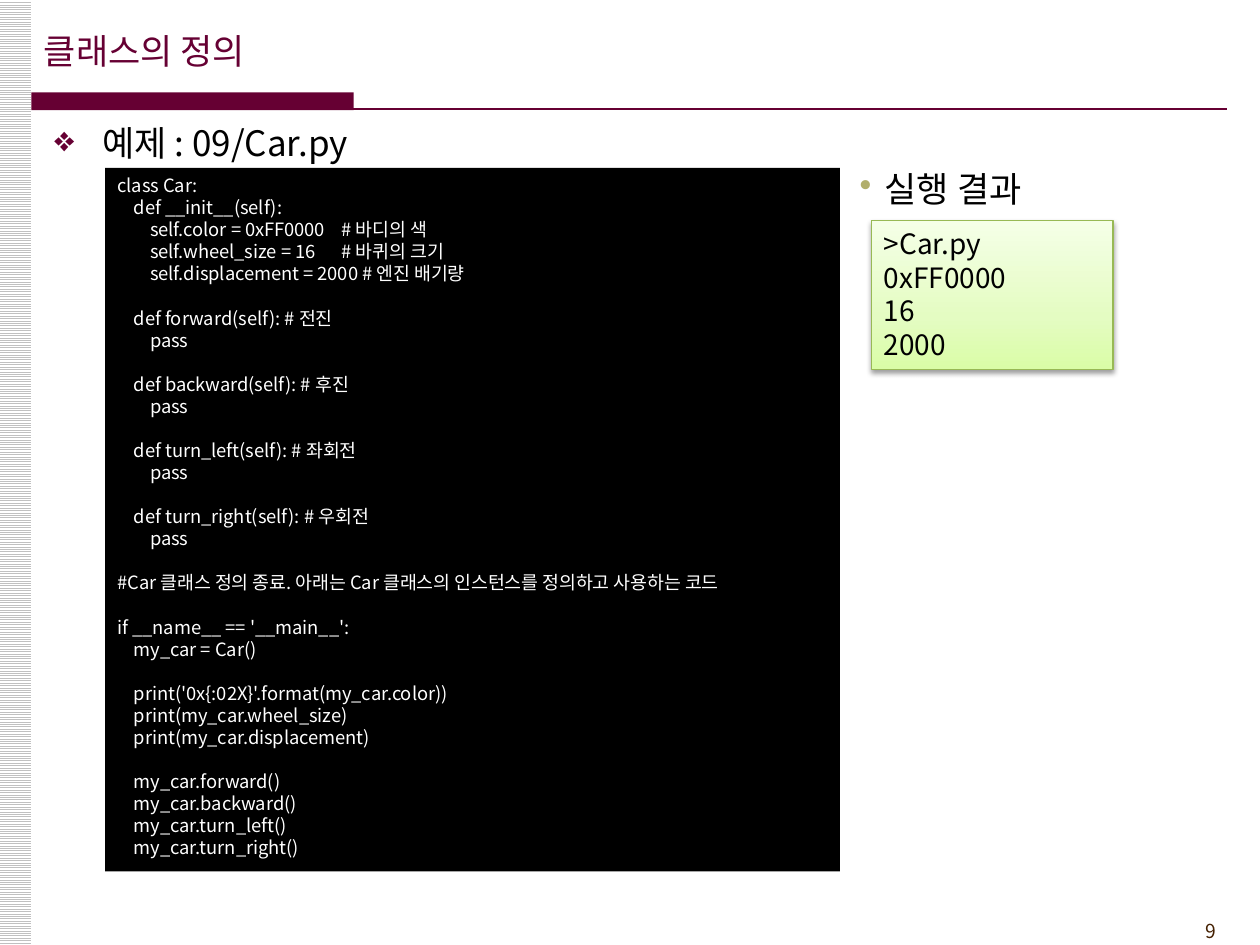
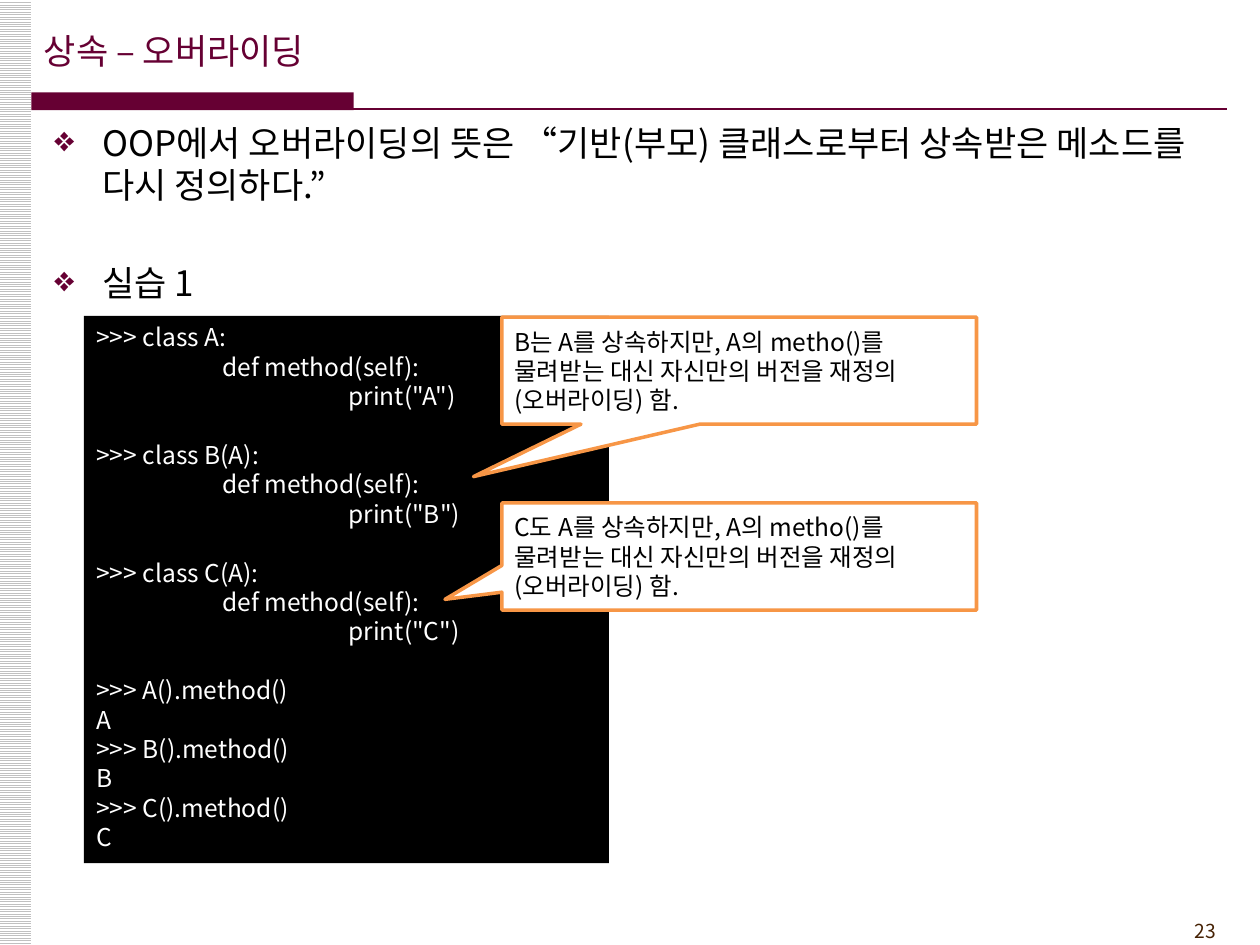
from lxml import etree
from pptx import Presentation
from pptx.dml.color import RGBColor
from pptx.enum.dml import MSO_PATTERN
from pptx.enum.shapes import MSO_CONNECTOR, MSO_SHAPE
from pptx.enum.text import MSO_ANCHOR, PP_ALIGN
from pptx.oxml.ns import qn
from pptx.util import Inches, Pt

RECTANGLE = MSO_SHAPE.RECTANGLE
CALLOUT = MSO_SHAPE.RECTANGULAR_CALLOUT
STRAIGHT = MSO_CONNECTOR.STRAIGHT
STRIPES = MSO_PATTERN.LIGHT_HORIZONTAL
LEFT, RIGHT = PP_ALIGN.LEFT, PP_ALIGN.RIGHT
TOP, MIDDLE = MSO_ANCHOR.TOP, MSO_ANCHOR.MIDDLE

FONT = "Noto Sans CJK KR"
COLORS = {
    "wine": "660033", "brown": "452103", "olive": "B1AE6B", "orange": "F79646",
    "black": "000000", "white": "FFFFFF", "silver": "C0C0C0", "green": "98B955",
}
RESULT_GRADIENT = [(0, "DAFDA7"), (35, "E4FCC2"), (100, "F5FFE7")]
COLUMNS, ROWS = 120, 90
LINE_HEIGHT = 1.2
TAB = "    "

CAR_CODE = """class Car:
    def __init__(self):
        self.color = 0xFF0000    # 바디의 색
        self.wheel_size = 16    # 바퀴의 크기
        self.displacement = 2000 # 엔진 배기량

    def forward(self): # 전진
        pass

    def backward(self): # 후진
        pass

    def turn_left(self): # 좌회전
        pass

    def turn_right(self): # 우회전
        pass

#Car 클래스 정의 종료. 아래는 Car 클래스의 인스턴스를 정의하고 사용하는 코드

if __name__ == '__main__':
    my_car = Car()

    print('0x{:02X}'.format(my_car.color))
    print(my_car.wheel_size)
    print(my_car.displacement)

    my_car.forward()
    my_car.backward()
    my_car.turn_left()
    my_car.turn_right()"""

OVERRIDE_CODE = """>>> class A:
    def method(self):
        print("A")

>>> class B(A):
    def method(self):
        print("B")

>>> class C(A):
    def method(self):
        print("C")

>>> A().method()
A
>>> B().method()
B
>>> C().method()
C"""

CALLOUT_TEXT = "{} A를 상속하지만, A의 metho()를 물려받는 대신 자신만의 버전을 재정의(오버라이딩) 함."


def color(name):
    return RGBColor.from_string(COLORS[name])


def add_xml(parent, tag, **attributes):
    return etree.SubElement(parent, qn(tag), attributes)


class LessonDeck:
    """Holds the style and the current slide; lengths are grid columns and rows."""

    def __init__(self):
        self.deck = Presentation()
        self.deck.slide_width, self.deck.slide_height = Inches(10), Inches(7.5)
        self.column = self.deck.slide_width / COLUMNS
        self.row = self.deck.slide_height / ROWS
        self.page = None

    def area(self, left, top, width, height):
        return (round(left * self.column), round(top * self.row),
                round(width * self.column), round(height * self.row))

    def start_page(self, title, number):
        self.page = self.deck.slides.add_slide(self.deck.slide_layouts[6])
        # Striped margin
        margin = self.shape((-0.1, 0, 3.1, ROWS), "white")
        margin.fill.patterned()
        margin.fill.pattern = STRIPES
        margin.fill.fore_color.rgb = color("silver")
        margin.fill.back_color.rgb = color("white")
        # Title with its band and rule
        self.shape((3, 8.8, 30.7, 1.7), "wine")
        self.rule(3, 116.9, 10.4)
        self.text((3, 1.1, 99.2, 7.5), [title], 20, "wine", anchor=MIDDLE)
        # Page number
        self.text((107, 87, 10, 3.5), [str(number)], 11, "brown", align=RIGHT)

    def shape(self, area, fill, line=None, weight=0.75, kind=RECTANGLE):
        box = self.page.shapes.add_shape(kind, *self.area(*area))
        box.shadow.inherit = False
        box.fill.solid()
        box.fill.fore_color.rgb = color(fill)
        if line:
            box.line.color.rgb = color(line)
            box.line.width = Pt(weight)
        else:
            box.line.fill.background()
        return box

    def rule(self, start, end, row):
        left, top, width, _ = self.area(start, row, end - start, 0)
        line = self.page.shapes.add_connector(STRAIGHT, left, top, left + width, top)
        line.line.color.rgb = color("wine")
        line.line.width = Pt(1.5)
        add_xml(line._element.spPr, "a:effectLst")

    def set_lines(self, box, lines, size, ink, align=LEFT, anchor=TOP, leading=LINE_HEIGHT):
        frame = box.text_frame
        frame.word_wrap = True
        frame.vertical_anchor = anchor
        for index, line in enumerate(lines):
            para = frame.add_paragraph() if index else frame.paragraphs[0]
            para.text = line
            para.alignment = align
            para.line_spacing = Pt(size * leading)
            for span in para.runs:
                span.font.size = Pt(size)
                span.font.name = FONT
                span.font.color.rgb = color(ink)
                add_xml(span.font._element, "a:ea", typeface=FONT)
        return frame.paragraphs

    def text(self, area, lines, size, ink, **style):
        box = self.page.shapes.add_textbox(*self.area(*area))
        return self.set_lines(box, lines, size, ink, **style)

    def bullets(self, area, lines, mark="❖", mark_color="wine", margin=0.38,
                hang=0.38, gap=4, leading=LINE_HEIGHT):
        for index, para in enumerate(self.text(area, lines, 20, "black", leading=leading)):
            para.space_before = Pt(gap if index else 4)
            settings = para._p.get_or_add_pPr()
            settings.set("marL", str(Inches(margin)))
            settings.set("indent", str(-Inches(hang)))
            add_xml(add_xml(settings, "a:buClr"), "a:srgbClr", val=COLORS[mark_color])
            add_xml(settings, "a:buChar", char=mark)

    def code(self, area, source, size, tab_stops):
        """Indents become tabs; an empty line becomes space before the next one."""
        blocks = [block.split("\n") for block in source.replace(TAB, "\t").split("\n\n")]
        lines = [line for block in blocks for line in block]
        paras = self.set_lines(self.shape(area, "black"), lines, size, "white")
        for para in paras:
            stops = add_xml(para._p.get_or_add_pPr(), "a:tabLst")
            for stop in tab_stops:
                add_xml(stops, "a:tab", pos=str(Inches(stop)), algn="l")
        first = 0
        for block in blocks[:-1]:
            first += len(block)
            paras[first].space_before = Pt(size * LINE_HEIGHT)

    def result(self, area, lines):
        box = self.shape(area, "white", "green")
        box.fill.gradient()
        box.fill.gradient_angle = 90
        properties = box._element.spPr
        stops = properties.find(qn("a:gradFill")).find(qn("a:gsLst"))
        stops.clear()
        for share, tint in RESULT_GRADIENT:
            stop = add_xml(stops, "a:gs", pos=str(share * 1000))
            add_xml(stop, "a:srgbClr", val=tint)
        # Soft shadow below
        shadow = add_xml(properties.find(qn("a:effectLst")), "a:outerShdw", blurRad="40000",
                         dist="20000", dir="5400000", rotWithShape="0")
        shade = add_xml(shadow, "a:srgbClr", val=COLORS["black"])
        add_xml(shade, "a:alpha", val="38000")
        self.set_lines(box, lines, 16, "black")

    def callout(self, top, subject, tip):
        box = self.shape((47.8, top, 45.2, 10.2), "white", "orange", 2, CALLOUT)
        box.adjustments[0], box.adjustments[1] = tip
        self.set_lines(box, [CALLOUT_TEXT.format(subject)], 14, "black", anchor=MIDDLE)


def main():
    lesson = LessonDeck()
    body = (4, 11, 114, 75)

    # Class definition
    lesson.start_page("클래스의 정의", 9)
    lesson.bullets(body, ["예제 : 09/Car.py"])
    lesson.code((10, 16, 70, 67), CAR_CODE, 10.5, [0.13, 0.26, 1.78])
    lesson.result((83, 21, 23, 14.2), [">Car.py", "0xFF0000", "16", "2000"])
    lesson.bullets((76, 15, 29, 32), ["실행 결과"], "•", "olive", 0.59, 0.2, leading=1.32)

    # Overriding
    lesson.start_page("상속 – 오버라이딩", 23)
    lesson.bullets(body, [
        "OOP에서 오버라이딩의 뜻은 “기반(부모) 클래스로부터 상속받은 메소드를 다시 정의하다.”",
        "실습 1",
    ], gap=32)
    lesson.code((8, 30.1, 50, 52.1), OVERRIDE_CODE, 14, [1, 2])
    lesson.callout(30.2, "B는", (-0.56, 0.99))
    lesson.callout(47.9, "C도", (-0.62, 0.4))

    lesson.deck.save("out.pptx")


if __name__ == "__main__":
    main()
